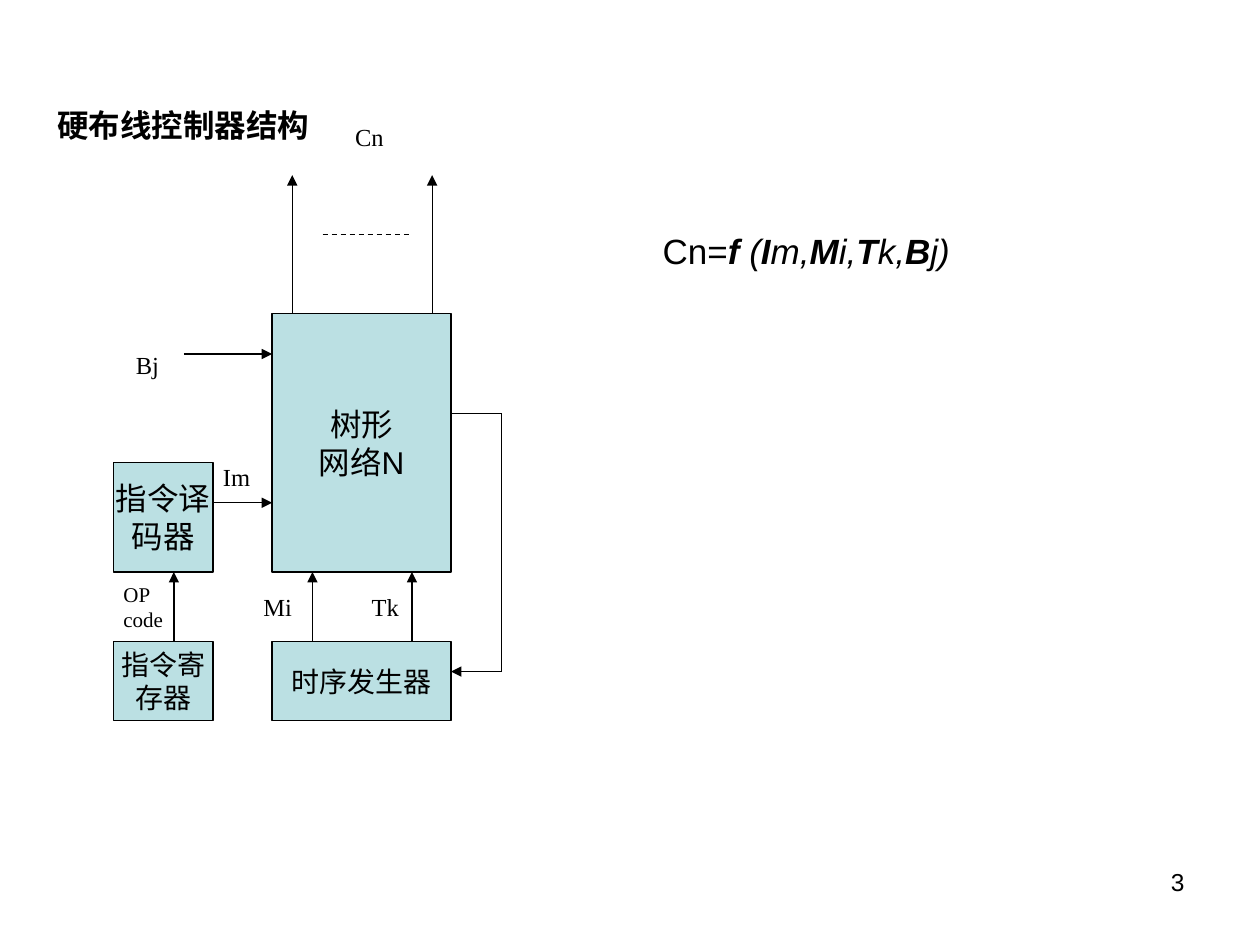
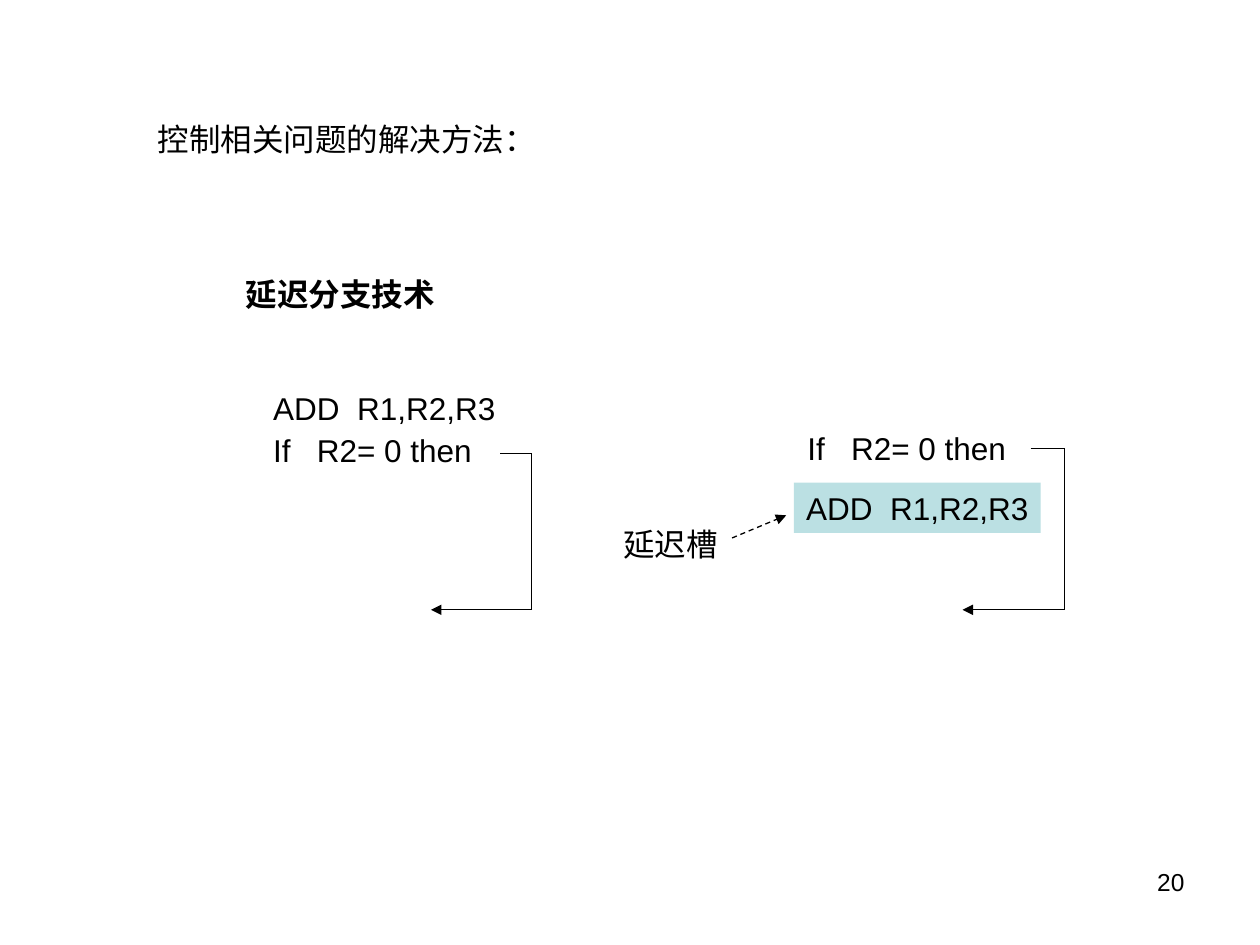
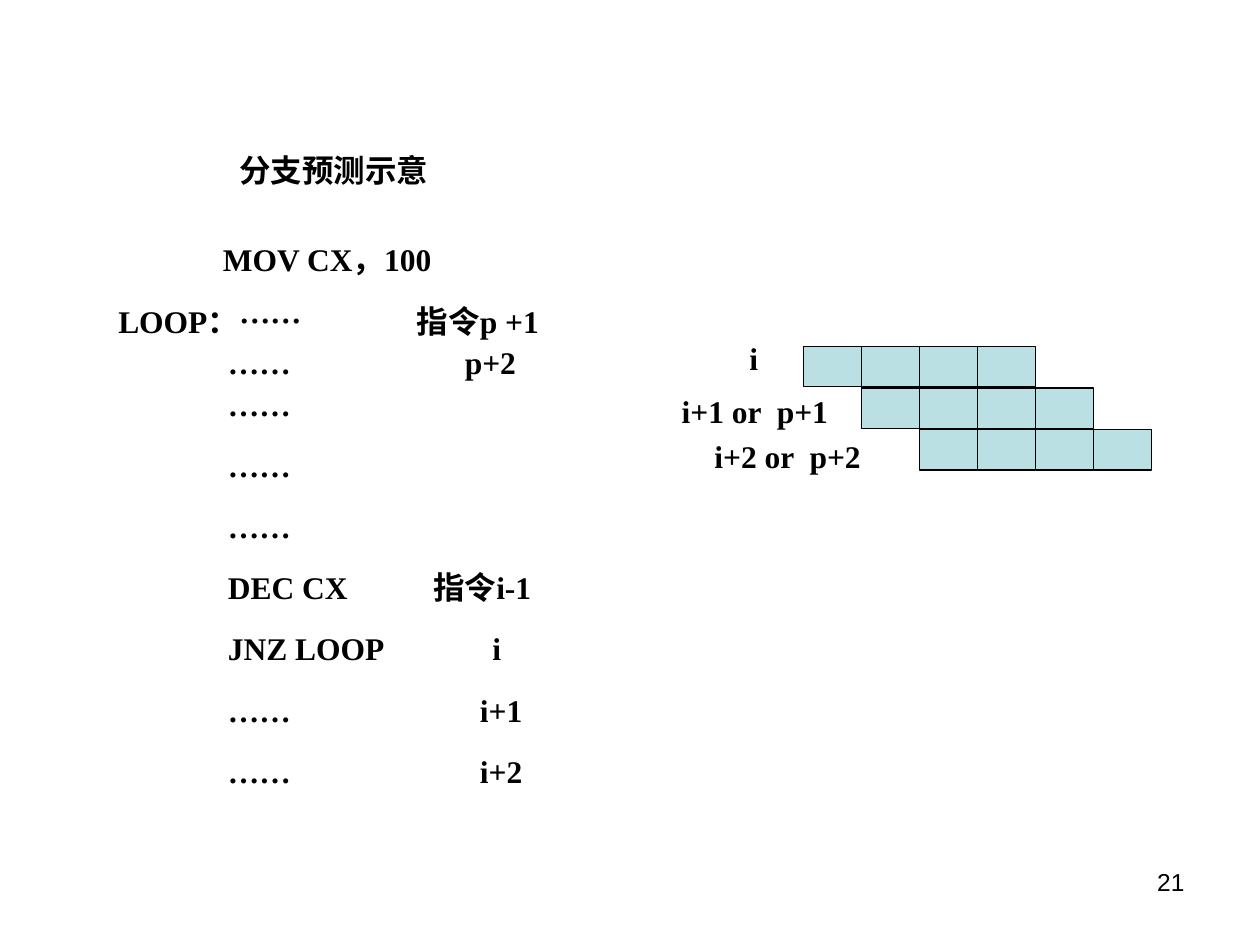
from typing import NamedTuple

import pptx
import pptx.util
from lxml import etree
from pptx.dml.color import RGBColor
from pptx.enum.dml import MSO_LINE
from pptx.enum.shapes import MSO_CONNECTOR, MSO_SHAPE
from pptx.enum.text import MSO_ANCHOR, MSO_AUTO_SIZE, PP_ALIGN
from pptx.oxml.ns import qn
from pptx.util import Inches, Pt

COLORS = {"ink": "000000", "block": "BBE0E3"}
SANS, SERIF = "Arial", "Times New Roman"
LINE_WIDTH = 0.75
TITLE_ONLY = 5


class Style(NamedTuple):
    size: float = 18
    font: str = SANS
    bold: bool = False
    align: PP_ALIGN = PP_ALIGN.LEFT
    inset: tuple[float, float] = (0.1, 0.05)
    line_spacing: float | None = None
    space_before: float = 0
    wrap: bool = False


class Label(NamedTuple):
    text: str
    at: tuple[float, float, float, float]
    style: Style = Style()


class Arrow(NamedTuple):
    start: tuple[float, float]
    end: tuple[float, float]
    head: bool = True
    dashed: bool = False


class CodeLine(NamedTuple):
    text: str
    note_left: float = 0
    code_left: float = 0.87
    space_before: float = 11.2
    line_spacing: float = 1.1


BOLD = Style(bold=True)
BLOCK = Style(align=PP_ALIGN.CENTER)
SMALL_BLOCK = BLOCK._replace(size=16)
SIGNAL = Style(14, SERIF)
TIGHT_SIGNAL = SIGNAL._replace(inset=(0, 0))
OPCODE = Style(12, SERIF, inset=(0, 0), line_spacing=0.5, space_before=7.5)
STAGE = Style(18, SERIF, bold=True)
TIGHT_STAGE = STAGE._replace(inset=(0.04, 0))
CODE = STAGE._replace(wrap=True)
NUMBER = Style(14, align=PP_ALIGN.RIGHT, wrap=True)


def color(name: str) -> RGBColor:
    return RGBColor.from_string(COLORS[name])


def format_run(r, style: Style) -> None:
    r.font.size = Pt(style.size)
    r.font.name = style.font
    r.font.bold = style.bold
    r.font.color.rgb = color("ink")


def write(sp, text: str, style: Style, anchor=MSO_ANCHOR.TOP) -> None:
    tf = sp.text_frame
    tf.text = text
    tf.word_wrap = style.wrap
    tf.auto_size = MSO_AUTO_SIZE.NONE
    tf.vertical_anchor = anchor
    tf.margin_left = tf.margin_right = Inches(style.inset[0])
    tf.margin_top = tf.margin_bottom = Inches(style.inset[1])
    for i, p in enumerate(tf.paragraphs):
        p.alignment = style.align
        p.line_spacing = style.line_spacing
        p.space_before = Pt(style.space_before if i else 0)
        for r in p.runs:
            format_run(r, style)


def add_label(s, label: Label):
    sp = s.shapes.add_textbox(*map(Inches, label.at))
    write(sp, label.text, label.style)
    if not label.style.wrap:
        sp.text_frame.auto_size = MSO_AUTO_SIZE.SHAPE_TO_FIT_TEXT
    return sp


def add_block(s, label: Label, outlined: bool = True, anchor=MSO_ANCHOR.MIDDLE) -> None:
    sp = s.shapes.add_shape(MSO_SHAPE.RECTANGLE, *map(Inches, label.at))
    sp.shadow.inherit = False
    sp.fill.solid()
    sp.fill.fore_color.rgb = color("block")
    if outlined:
        sp.line.color.rgb = color("ink")
        sp.line.width = Pt(LINE_WIDTH)
    else:
        sp.line.fill.background()
    if label.text:
        write(sp, label.text, label.style, anchor)


def add_arrow(s, arrow: Arrow) -> None:
    cx = s.shapes.add_connector(
        MSO_CONNECTOR.STRAIGHT, *map(Inches, arrow.start + arrow.end))
    cx.line.color.rgb = color("ink")
    cx.line.width = Pt(LINE_WIDTH)
    if arrow.dashed:
        cx.line.dash_style = MSO_LINE.DASH
    if arrow.head:
        ln = cx.line._get_or_add_ln()
        etree.SubElement(ln, qn("a:tailEnd"), type="triangle")
    etree.SubElement(cx._element.spPr, qn("a:effectLst"))


def add_return_path(s, start: tuple[float, float], right: float,
                    end: tuple[float, float]) -> None:
    """Run right from start, down, and back left to an arrowhead at end."""
    upper, lower = (right, start[1]), (right, end[1])
    add_arrow(s, Arrow(start, upper, head=False))
    add_arrow(s, Arrow(upper, lower, head=False))
    add_arrow(s, Arrow(lower, end))


def new_slide(prs, number: int, title: Label):
    s = prs.slides.add_slide(prs.slide_layouts[TITLE_ONLY])
    sp = s.shapes.title
    sp.left, sp.top, sp.width, sp.height = map(Inches, title.at)
    write(sp, title.text, title.style)
    add_label(s, Label(str(number), (7.17, 6.83, 2.33, 0.52), NUMBER))
    return s


def add_formula(s) -> None:
    sp = add_label(s, Label("Cn=", (5.16, 1.77, 2.48, 0.44), Style(20)))
    p = sp.text_frame.paragraphs[0]
    parts = ["f ", "(", "I", "m,", "M", "i,", "T", "k,", "B", "j)"]
    for i, part in enumerate(parts):
        r = p.add_run()
        r.text = part
        format_run(r, Style(20, bold=i % 2 == 0))
        r.font.italic = True


def controller_slide(prs) -> None:
    s = new_slide(prs, 3, Label("硬布线控制器结构", (0.43, 0.84, 2.05, 0.3),
                                Style(bold=True, align=PP_ALIGN.CENTER, inset=(0, 0))))
    for block in (
        Label("树形\n网络N", (2.16, 2.49, 1.42, 2.05), BLOCK),
        Label("指令译\n码器", (0.9, 3.67, 0.79, 0.87), BLOCK),
        Label("指令寄\n存器", (0.9, 5.09, 0.79, 0.63), SMALL_BLOCK),
        Label("时序发生器", (2.16, 5.09, 1.42, 0.63), SMALL_BLOCK),
    ):
        add_block(s, block)
    for x in (1.38, 2.48, 3.27):
        add_arrow(s, Arrow((x, 5.09), (x, 4.54)))
    for x in (2.32, 3.43):
        add_arrow(s, Arrow((x, 2.49), (x, 1.39)))
    for x, y in ((1.46, 2.81), (1.69, 3.99)):
        add_arrow(s, Arrow((x, y), (2.16, y)))
    add_arrow(s, Arrow((2.56, 1.86), (3.27, 1.86), head=False, dashed=True))
    add_return_path(s, (3.58, 3.28), 3.98, (3.58, 5.33))
    for label in (
        Label("Cn", (2.72, 0.92, 0.47, 0.34), SIGNAL),
        Label("Bj", (0.98, 2.73, 0.39, 0.34), SIGNAL),
        Label("Im", (1.77, 3.67, 0.24, 0.23), TIGHT_SIGNAL),
        Label("OP\ncode", (0.98, 4.7, 0.32, 0.3), OPCODE),
        Label("Mi", (2.09, 4.7, 0.24, 0.23), TIGHT_SIGNAL),
        Label("Tk", (2.95, 4.7, 0.24, 0.23), TIGHT_SIGNAL),
    ):
        add_label(s, label)
    add_formula(s)


def delayed_branch_slide(prs) -> None:
    s = new_slide(prs, 20, Label("控制相关问题的解决方法：", (1.15, 0.9, 3.2, 0.4)))
    add_instruction, branch = "ADD  R1,R2,R3", "If   R2= 0 then"
    for label in (
        Label("延迟分支技术", (1.85, 2.13, 1.72, 0.4), BOLD),
        Label(add_instruction, (2.07, 3.04, 2, 0.4)),
        Label(branch, (2.07, 3.37, 1.8, 0.4)),
        Label(branch, (6.31, 3.36, 1.8, 0.4)),
        Label("延迟槽", (4.85, 4.12, 0.97, 0.4)),
    ):
        add_label(s, label)
    add_block(s, Label(add_instruction, (6.3, 3.83, 1.96, 0.4)),
              outlined=False, anchor=MSO_ANCHOR.TOP)
    add_return_path(s, (3.97, 3.6), 4.22, (3.42, 4.84))
    add_return_path(s, (8.18, 3.56), 8.45, (7.64, 4.84))
    add_arrow(s, Arrow((5.81, 4.27), (6.24, 4.09), dashed=True))


def add_code(s, lines: list[CodeLine]) -> None:
    """Write code in one tabbed column and its notes in a second one."""
    listing = Label("\n".join(line.text for line in lines),
                    (0.84, 1.86, 3.92, 4.47), CODE)
    sp = add_label(s, listing)
    for p, line in zip(sp.text_frame.paragraphs, lines):
        p.line_spacing = line.line_spacing
        p.space_before = Pt(line.space_before)
        tabs = etree.SubElement(p._p.get_or_add_pPr(), qn("a:tabLst"))
        for stop in filter(None, (line.code_left, line.note_left)):
            etree.SubElement(tabs, qn("a:tab"), pos=str(Inches(stop)), algn="l")


def branch_prediction_slide(prs) -> None:
    s = new_slide(prs, 21, Label("分支预测示意", (1.8, 1.15, 1.9, 0.4), BOLD))
    add_code(s, [
        CodeLine("\tMOV CX，100", code_left=0.83, space_before=0, line_spacing=1.0),
        CodeLine("LOOP：……\t指令p +1", 2.37),
        CodeLine("\t……\tp+2", 2.75, space_before=0),
        CodeLine("\t……", space_before=0),
        CodeLine("\t……"),
        CodeLine("\t……"),
        CodeLine("\tDEC CX\t指令i-1", 2.5),
        CodeLine("\tJNZ LOOP\ti", 2.97),
        CodeLine("\t……\ti+1", 2.87),
        CodeLine("\t……\ti+2", 2.87),
    ])
    cell_width, cell_height, row_step = 0.46, 0.32, 0.33
    for row in range(3):
        for stage in range(4):
            left = 6.38 + cell_width * (row + stage)
            add_block(s, Label("", (left, 2.75 + row_step * row, cell_width, cell_height)))
    for label in (
        Label("i", (5.85, 2.64, 0.27, 0.4), STAGE),
        Label("i+1 or  p+1", (5.37, 3.11, 1.25, 0.3), TIGHT_STAGE),
        Label("i+2 or  p+2", (5.63, 3.47, 1.25, 0.3), TIGHT_STAGE),
    ):
        add_label(s, label)


def main() -> None:
    prs = pptx.Presentation()
    prs.slide_width, prs.slide_height = Inches(10), Inches(7.5)
    controller_slide(prs)
    delayed_branch_slide(prs)
    branch_prediction_slide(prs)
    prs.save("out.pptx")


if __name__ == "__main__":
    main()
